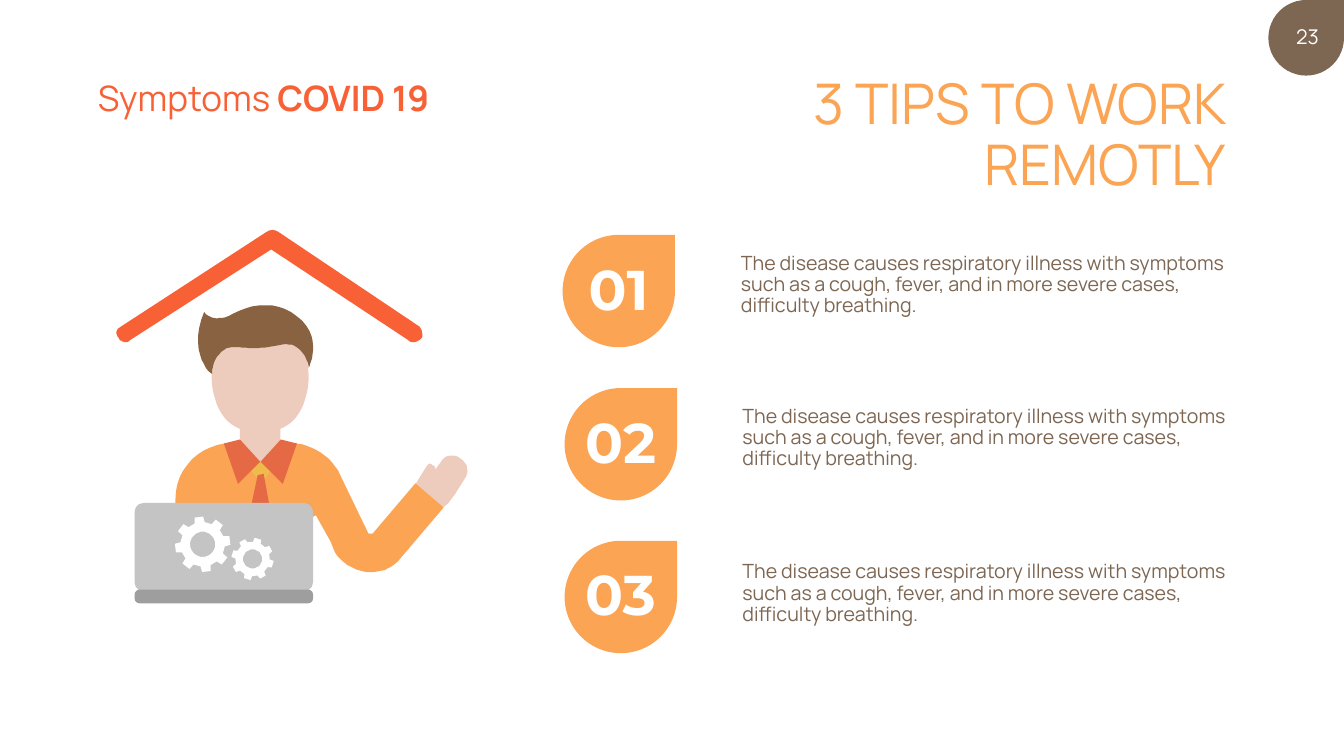
import math
from dataclasses import dataclass

from pptx import Presentation
from pptx.dml.color import RGBColor
from pptx.enum import shapes, text

PX = 9144  # EMU per px, 100 px to the inch


@dataclass(frozen=True)
class Theme:
    orange: str = "FBA454"
    red: str = "F86136"
    brown: str = "7D6652"
    white: str = "FFFFFF"
    skin: str = "EDCCBE"
    hair: str = "896242"
    collar: str = "E46944"
    knot: str = "F1BA4D"
    screen: str = "C4C4C4"
    base: str = "9E9E9E"
    font: str = "Manrope"
    number_font: str = "Montserrat"
    display: int = 80
    heading: int = 50
    page: int = 29
    body: int = 28


THEME = Theme()

TIP = ("The disease causes respiratory illness with symptoms such as a cough, "
       "fever, and in more severe cases, difficulty breathing.")

# number, drop left and top, number box (left, top, width), tip left and top
TIPS = [
    ("01", (1116, 466), (1158, 501, 147), (1460, 498)),
    ("02", (1120, 770), (1151, 804, 182), (1463, 802)),
    ("03", (1120, 1073), (1151, 1105, 182), (1463, 1110)),
]

# Outlines in px: M move, L line, C cubic curve
HAND = ("M 915 911 L 911 908 C 899 900 883 903 875 916 L 863 932 "
        "C 863 927 863 924 859 924 C 855 919 851 919 847 924 L 827 956 "
        "C 819 972 827 991 839 1004 C 855 1012 871 1012 883 1004 "
        "C 887 999 891 999 891 996 L 903 980 L 923 948 C 931 935 927 919 915 911")
HEAD = ("M 612 743 C 612 680 576 628 516 628 C 456 628 420 680 420 743 "
        "C 420 791 436 835 476 851 L 476 971 C 476 999 492 1019 516 1019 "
        "C 540 1019 556 999 556 971 L 556 851 C 596 835 612 791 612 743")
SHIRT = ("M 824 959 L 739 1059 L 731 1059 L 675 943 C 659 907 619 879 575 879 "
         "L 559 879 C 559 887 548 935 516 935 C 479 935 471 879 471 879 L 460 879 "
         "C 399 879 348 927 348 991 L 348 1127 C 348 1143 359 1155 375 1155 "
         "L 619 1155 L 619 1027 C 624 1023 624 1023 627 1023 L 656 1075 L 664 1095 "
         "C 675 1115 699 1131 728 1135 L 736 1135 C 760 1135 779 1127 795 1107 "
         "L 880 1007 L 824 959")
HAIR = ("M 612 730 C 612 730 612 702 584 686 C 564 678 544 690 517 690 "
        "C 488 694 461 682 445 694 C 421 710 421 734 421 742 "
        "C 409 738 374 686 405 619 C 417 635 441 635 461 623 "
        "C 512 595 572 599 608 647 C 636 686 612 730 612 730")
ROOF = ("M 832 648 L 552 460 C 543 455 538 455 529 460 L 240 648 "
        "C 231 653 227 662 236 671 C 236 675 244 679 249 679 "
        "C 254 679 254 679 258 675 L 538 495 L 810 675 "
        "C 819 683 828 679 836 671 C 841 666 836 653 832 648")
KNOT = "M 488 924 L 512 951 L 525 951 L 544 924 L 520 916 L 501 916 L 488 924"
TIE = "M 511 943 L 479 1096 L 515 1148 L 551 1096 L 523 940 L 511 943"
COLLAR = [(476, 872), (516, 916), (472, 960), (444, 880)]
COLLAR_AXIS = 1033  # sum of mirrored x values


def emu(*lengths):
    return [round(length * PX) for length in lengths]


def paint(shape, color):
    shape.shadow.inherit = False
    shape.fill.solid()
    shape.fill.fore_color.rgb = RGBColor.from_string(color)
    shape.line.fill.background()
    return shape


def add_preset(slide, kind, box, color, corner=None):
    shape = paint(slide.shapes.add_shape(kind, *emu(*box)), color)
    if corner is not None:
        shape.adjustments[0] = corner


def write(shape, runs, size, color, align="LEFT", spacing=0.9, wrap=True,
          font=THEME.font):
    """Fill a shape with one paragraph of (words, bold) runs."""
    frame = shape.text_frame
    frame_format = {"word_wrap": wrap, "auto_size": text.MSO_AUTO_SIZE.NONE,
                    "vertical_anchor": text.MSO_ANCHOR.TOP}
    for name, value in frame_format.items():
        setattr(frame, name, value)
    paragraph = frame.paragraphs[0]
    paragraph.alignment = getattr(text.PP_ALIGN, align)
    paragraph.line_spacing = spacing
    for words, bold in runs:
        run = paragraph.add_run()
        run.text = words
        run_format = {"name": font, "size": size * 12700, "bold": bold}
        for name, value in run_format.items():
            setattr(run.font, name, value)
        run.font.color.rgb = RGBColor.from_string(color)


def add_text(slide, box, runs, size, color, **layout):
    write(slide.shapes.add_textbox(*emu(*box)), runs, size, color, **layout)


def curve(points, steps=12):
    """Points along a cubic curve, without its start."""
    for step in range(1, steps + 1):
        t = step / steps
        weights = ((1 - t) ** 3, 3 * t * (1 - t) ** 2, 3 * t * t * (1 - t), t ** 3)
        yield tuple(sum(w * p[axis] for w, p in zip(weights, points))
                    for axis in (0, 1))


def trace(outline):
    """Turn an outline string into a list of points."""
    points = []
    for part in outline.replace("C", "|").replace("L", "|").strip("M").split("|"):
        values = [int(value) for value in part.split()]
        pairs = list(zip(values[::2], values[1::2]))
        points += curve([points[-1], *pairs]) if len(pairs) == 3 else pairs
    return points


def add_outline(slide, contours, color):
    """Draw closed contours as one shape; later contours cut holes."""
    first, *holes = contours
    builder = slide.shapes.build_freeform(*first[0], scale=PX)
    builder.add_line_segments(first[1:], close=True)
    for hole in holes:
        builder.move_to(*hole[0])
        builder.add_line_segments(hole[1:], close=True)
    paint(builder.convert_to_shape(), color)


def add_gear(slide, center, tip, root, bore, turn, teeth=8):
    def polar(radius, degrees):
        angle = math.radians(degrees)
        return (center[0] + radius * math.cos(angle),
                center[1] + radius * math.sin(angle))

    pitch = 360 / teeth
    profile = [(root, -13), (tip, -9), (tip, 9), (root, 13)]
    rim = [polar(radius, turn + tooth * pitch + offset)
           for tooth in range(teeth) for radius, offset in profile]
    hole = [polar(bore, -degrees) for degrees in range(0, 360, 10)]
    add_outline(slide, [rim, hole], THEME.white)


def add_worker(slide):
    for outline, color in [(HAND, THEME.skin), (HEAD, THEME.skin),
                           (SHIRT, THEME.orange), (HAIR, THEME.hair),
                           (KNOT, THEME.knot), (TIE, THEME.collar),
                           (ROOF, THEME.red)]:
        add_outline(slide, [trace(outline)], color)
    mirrored = [(COLLAR_AXIS - x, y) for x, y in COLLAR]
    for side in (COLLAR, mirrored):
        add_outline(slide, [side], THEME.collar)
    # Laptop
    rounded = shapes.MSO_SHAPE.ROUNDED_RECTANGLE
    add_preset(slide, rounded, (267, 998, 354, 175), THEME.screen, 0.1)
    add_preset(slide, rounded, (267, 1170, 354, 27), THEME.base, 0.35)
    add_gear(slide, (402, 1080), tip=55, root=44, bore=25, turn=-8)
    add_gear(slide, (501, 1109), tip=42, root=34, bore=19, turn=15)


def add_tip(slide, number, drop, number_box, tip):
    add_preset(slide, shapes.MSO_SHAPE.TEAR, (*drop, 223, 223), THEME.orange)
    add_text(slide, (*number_box, 145), [(number, True)], THEME.display,
             THEME.white, spacing=1.0, font=THEME.number_font)
    add_text(slide, (*tip, 980, 151), [(TIP, False)], THEME.body, THEME.brown)


def main():
    deck = Presentation()
    deck.slide_width, deck.slide_height = emu(2666, 1500)
    slide = deck.slides.add_slide(deck.slide_layouts[5])

    # Page number
    add_preset(slide, shapes.MSO_SHAPE.TEAR, (2516, 0, 150, 150), THEME.brown)
    add_text(slide, (2533, 44, 121, 71), [("23", False)], THEME.page,
             THEME.white, align="CENTER", spacing=1.0, wrap=False)

    # Headings
    title = slide.shapes.title
    title.left, title.top, title.width, title.height = emu(1431, 147, 1011, 280)
    write(title, [("3 TIPS TO WORK REMOTLY", False)], THEME.display,
          THEME.orange, align="RIGHT")
    add_text(slide, (178, 156, 690, 94), [("Symptoms ", False), ("COVID 19", True)],
             THEME.heading, THEME.red, align="CENTER", wrap=False)

    # Illustration and tips
    add_worker(slide)
    for row in TIPS:
        add_tip(slide, *row)

    deck.save("out.pptx")


if __name__ == "__main__":
    main()
